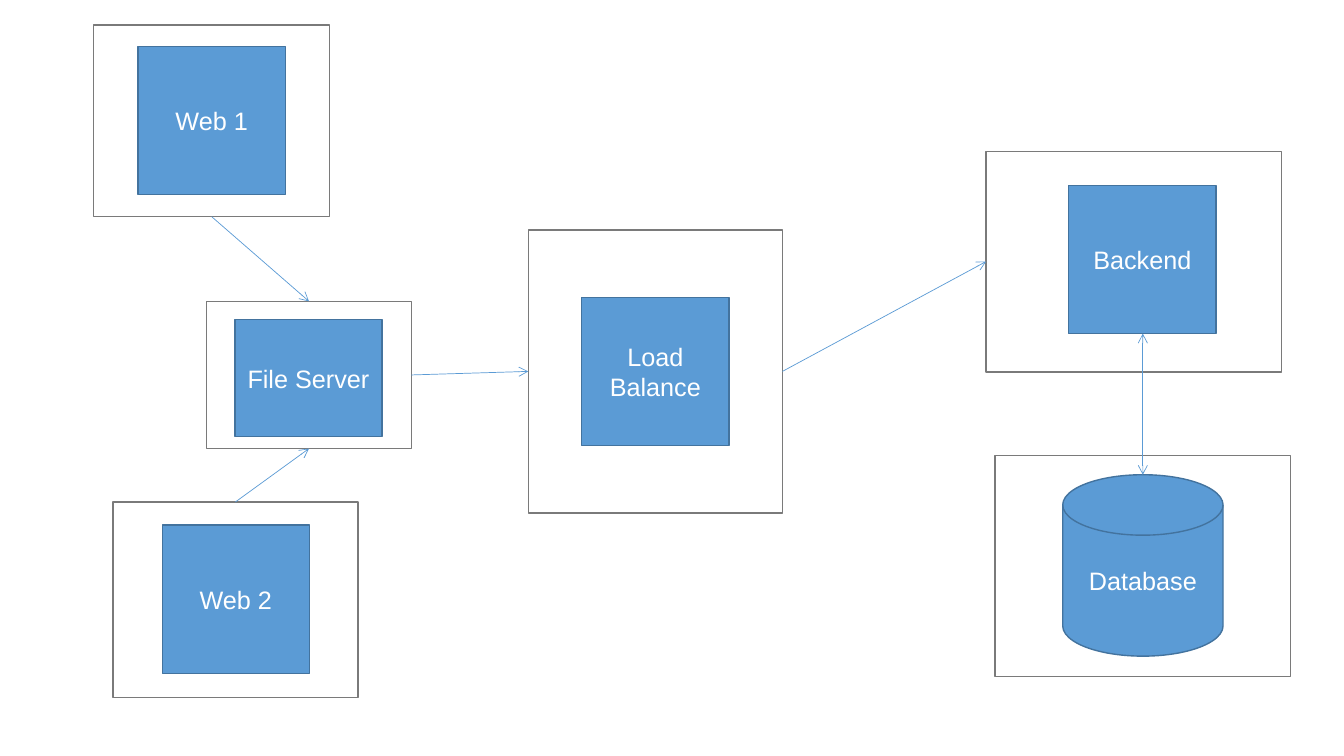
from lxml import etree
from pptx import Presentation
from pptx.dml.color import RGBColor
from pptx.enum import shapes, text
from pptx.oxml import ns
from pptx.util import Inches, Pt

BLUE = RGBColor(0x5B, 0x9B, 0xD5)
DARK_BLUE = RGBColor(0x43, 0x73, 0x9E)
GRAY = RGBColor(0x7A, 0x7A, 0x7A)
WHITE = RGBColor(0xFF, 0xFF, 0xFF)
FONT = "Arial"
SQUARE = (1.46, 1.47)
RECTANGLE = shapes.MSO_SHAPE.RECTANGLE
DISK = shapes.MSO_SHAPE.FLOWCHART_MAGNETIC_DISK
TOP, LEFT, BOTTOM, RIGHT = range(4)

NODES = [
    ("Web 1", (0.93, 0.25, 2.34, 1.9), (0.44, 0.21), SQUARE, RECTANGLE),
    ("Web 2", (1.12, 4.98, 2.43, 1.94), (0.49, 0.23), SQUARE, RECTANGLE),
    ("File Server", (2.05, 2.99, 2.03, 1.46), (0.28, 0.18), (1.46, 1.16), RECTANGLE),
    ("Load Balance", (5.24, 2.28, 2.52, 2.81), (0.53, 0.67), SQUARE, RECTANGLE),
    ("Backend", (9.78, 1.5, 2.93, 2.19), (0.82, 0.34), SQUARE, RECTANGLE),
    ("Database", (9.87, 4.52, 2.93, 2.19), (0.67, 0.19), (1.59, 1.8), DISK),
]
FLOWS = [
    ("Web 1", BOTTOM, "File Server", TOP),
    ("Web 2", TOP, "File Server", BOTTOM),
    ("File Server", RIGHT, "Load Balance", LEFT),
    ("Load Balance", RIGHT, "Backend", LEFT),
]


def add_outlined(slide, kind, box, line_color):
    shape = slide.shapes.add_shape(kind, *map(Inches, box))
    shape.shadow.inherit = False
    shape.fill.background()
    shape.line.color.rgb = line_color
    shape.line.width = Pt(1)
    return shape


def add_node(slide, label, box, offset, size, kind):
    frame = add_outlined(slide, RECTANGLE, box, GRAY)
    inner_box = (box[0] + offset[0], box[1] + offset[1], *size)
    block = add_outlined(slide, kind, inner_box, DARK_BLUE)
    block.fill.solid()
    block.fill.fore_color.rgb = BLUE
    block.text_frame.text = label
    block.text_frame.word_wrap = True
    block.text_frame.vertical_anchor = text.MSO_ANCHOR.MIDDLE
    paragraph = block.text_frame.paragraphs[0]
    paragraph.alignment = text.PP_ALIGN.CENTER
    font = paragraph.runs[0].font
    font.name = FONT
    font.size = Pt(18)
    font.color.rgb = WHITE
    return frame, block


def add_arrow(slide, arrow_ends=("tailEnd",)):
    connector = slide.shapes.add_connector(shapes.MSO_CONNECTOR.STRAIGHT, 0, 0, 0, 0)
    connector.line.color.rgb = BLUE
    connector.line.width = Pt(0.5)
    line = connector.line._get_or_add_ln()
    for arrow_end in arrow_ends:
        etree.SubElement(line, ns.qn("a:" + arrow_end), type="arrow")
    etree.SubElement(connector._element.spPr, ns.qn("a:effectLst"))
    return connector


def add_flow(slide, source, source_side, target, target_side):
    connector = add_arrow(slide)
    connector.begin_connect(source, source_side)
    connector.end_connect(target, target_side)


def add_database_link(slide, backend, database):
    connector = add_arrow(slide, ("headEnd", "tailEnd"))
    connector.begin_x = database.left + database.width // 2
    connector.begin_y = database.top
    connector.end_x = connector.begin_x
    connector.end_y = backend.top + backend.height


def build_architecture(slide):
    frames, blocks = {}, {}
    for label, *layout in NODES:
        frames[label], blocks[label] = add_node(slide, label, *layout)
    for source, source_side, target, target_side in FLOWS:
        add_flow(slide, frames[source], source_side, frames[target], target_side)
    add_database_link(slide, blocks["Backend"], blocks["Database"])


presentation = Presentation()
presentation.slide_width = Inches(13.33)
presentation.slide_height = Inches(7.5)
slide = presentation.slides.add_slide(presentation.slide_layouts[6])
slide.background.fill.solid()
slide.background.fill.fore_color.rgb = WHITE
build_architecture(slide)
presentation.save("out.pptx")
